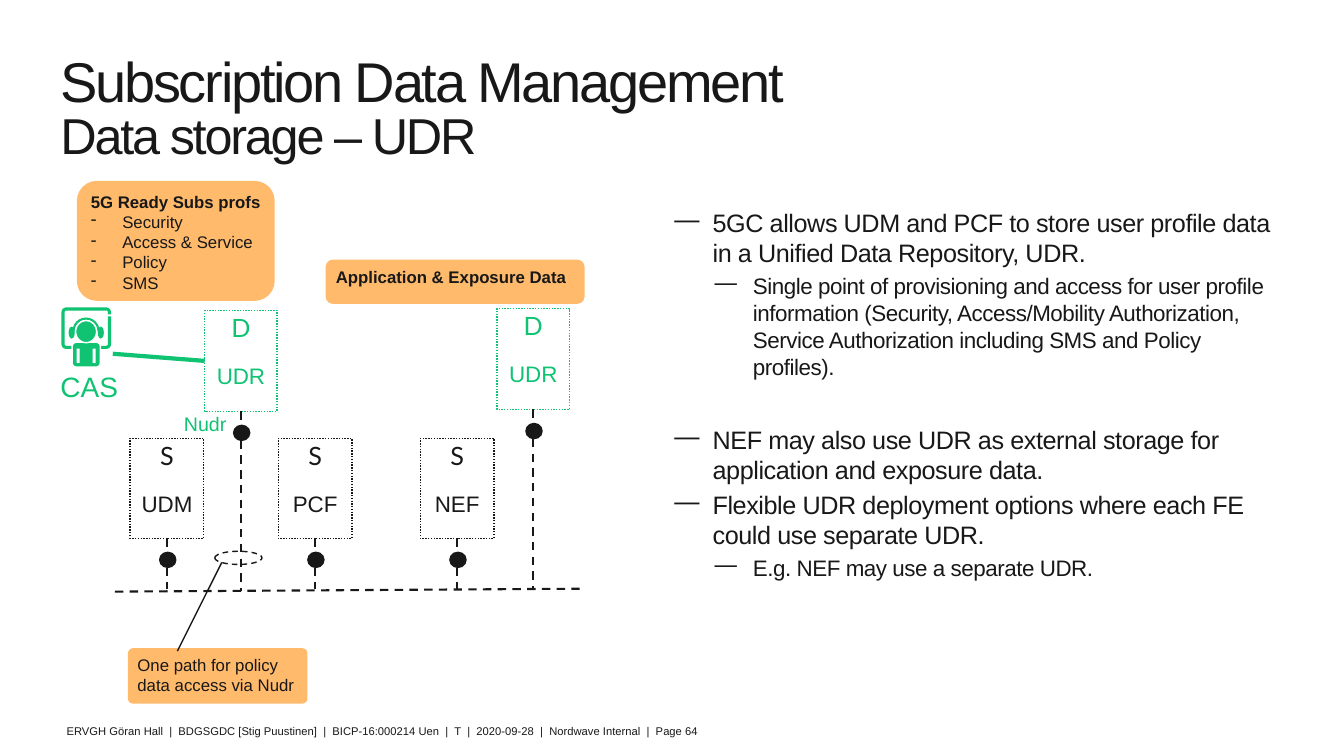
import pptx
import pptx.util
import pptx.dml.color
import pptx.enum.dml
import pptx.enum.shapes
import pptx.enum.text
import lxml.etree

Pt = pptx.util.Pt
Kind = pptx.enum.shapes.MSO_SHAPE
Dash = pptx.enum.dml.MSO_LINE
Align = pptx.enum.text.PP_ALIGN
Anchor = pptx.enum.text.MSO_ANCHOR

theme = {
    "ink": "181818", "green": "0FC373", "amber": "FFBA6C", "white": "FFFFFF",
    "text": "Arial", "letter": "Lato",
    "title": 40, "sub": 36, "cas": 20, "main": 18, "name": 16,
    "link": 14, "note": 12, "foot": 8,
}

deck = pptx.Presentation()
deck.slide_width, deck.slide_height = Pt(960), Pt(540)
slide = deck.slides.add_slide(deck.slide_layouts[6])


def put(kind, box, fill=None, edge=None, width=1, dash=None, rows=(), pad=(5.76, 3.6)):
    place = [Pt(v) for v in box]
    if kind is None:
        shape = slide.shapes.add_textbox(*place)
    else:
        shape = slide.shapes.add_shape(kind, *place)
        shape.shadow.inherit = False
    for paint, color in ((shape.fill, fill), (shape.line.fill, edge)):
        if color:
            paint.solid()
            paint.fore_color.rgb = pptx.dml.color.RGBColor.from_string(theme[color])
        else:
            paint.background()
    if edge:
        shape.line.width = Pt(width)
        if dash:
            shape.line.dash_style = dash
    if not rows:
        return shape
    frame = shape.text_frame
    frame.word_wrap = True
    frame.vertical_anchor = Anchor.TOP
    frame.margin_left = frame.margin_right = Pt(pad[0])
    frame.margin_top = frame.margin_bottom = Pt(pad[1])
    for i, (text, look) in enumerate(rows):
        para = frame.paragraphs[0] if i == 0 else frame.add_paragraph()
        para.text = text
        para.alignment = look.get("align", Align.LEFT)
        para.space_before = Pt(look.get("before", 0))
        para.line_spacing = look.get("lead", 1.0)
        if "mark" in look:
            prop = para._p.get_or_add_pPr()
            prop.set("marL", str(Pt(look["left"])))
            prop.set("indent", str(Pt(-look["hang"])))
            tag = "{http://schemas.openxmlformats.org/drawingml/2006/main}buChar"
            lxml.etree.SubElement(prop, tag).set("char", look["mark"])
        font = para.font
        font.name = theme[look.get("face", "text")]
        font.size = Pt(theme[look["size"]])
        font.bold = look.get("bold", False)
        font.color.rgb = pptx.dml.color.RGBColor.from_string(theme[look.get("color", "ink")])
        if "track" in look:
            for run in para.runs:
                run._r.get_or_add_rPr().set("spc", str(look["track"]))
    return shape


def wire(start, end, color="ink", width=1.5, dash=None):
    line = slide.shapes.add_connector(
        pptx.enum.shapes.MSO_CONNECTOR.STRAIGHT, *[Pt(v) for v in (*start, *end)])
    line.line.color.rgb = pptx.dml.color.RGBColor.from_string(theme[color])
    line.line.width = Pt(width)
    if dash:
        line.line.dash_style = dash
    tag = "{http://schemas.openxmlformats.org/drawingml/2006/main}effectLst"
    lxml.etree.SubElement(line._element.spPr, tag)
    return line


title = put(None, (37.4, 37.4, 675.4, 85), pad=(5.76, 2.9), rows=[
    ("Subscription Data Management\vData storage – UDR",
     {"size": "title", "lead": 0.85, "track": -160})])
title.text_frame.paragraphs[0].runs[1].font.size = Pt(theme["sub"])

main = {"size": "main", "mark": "—", "left": 27.4, "hang": 27.4, "before": 3, "track": -30}
minor = {**main, "size": "name", "left": 56.2}
put(None, (475.9, 145.4, 446.4, 345.6), pad=(5.76, 2.9), rows=[
    ("5GC allows UDM and PCF to store user profile data in a Unified Data Repository, UDR.",
     {**main, "before": 0}),
    ("Single point of provisioning and access for user profile information (Security, "
     "Access/Mobility Authorization, Service Authorization including SMS and Policy profiles).",
     minor),
    ("NEF may also use UDR as external storage for application and exposure data.",
     {**main, "before": 32}),
    ("Flexible UDR deployment options where each FE could use separate UDR.", main),
    ("E.g. NEF may use a separate UDR.", minor)])

note = {"size": "note"}
head = {**note, "bold": True}
item = {**note, "mark": "-", "left": 22.5, "hang": 22.5}
put(Kind.ROUNDED_RECTANGLE, (54.9, 129.2, 141.3, 85.7), "amber", rows=[
    ("5G Ready Subs profs", head),
    *[(text, item) for text in ("Security", "Access & Service", "Policy", "SMS")]])
put(Kind.ROUNDED_RECTANGLE, (232.6, 185.4, 185, 31.7), "amber",
    rows=[("Application & Exposure Data", head)])
path = put(Kind.ROUNDED_RECTANGLE, (91.4, 463, 128.2, 39.6), "amber",
           rows=[("One path for policy data access via Nudr", note)])
path.adjustments[0] = 0.09

wire((82.1, 422.6), (416.9, 420.5), dash=Dash.DASH)
nodes = [
    ("S", "UDM", 93, 313.2, 52.6, 71.3, "ink", 420.8),
    ("S", "PCF", 198.8, 313.2, 52.6, 71.3, "ink", 420.8),
    ("S", "NEF", 300.3, 313.2, 52.6, 71.3, "ink", 420.8),
    ("D", "UDR", 146.2, 221.8, 51.8, 72, "green", 422),
    ("D", "UDR", 355, 220.5, 51.8, 72, "green", 420.8),
]
units = []
for letter, name, x, y, w, h, color, end in nodes:
    look = {"color": color, "align": Align.CENTER}
    unit = put(Kind.RECTANGLE, (x, y, w, h), "white", color, dash=Dash.ROUND_DOT,
               pad=(0, 1.4), rows=[
                   (letter, {**look, "size": "main", "face": "letter"}),
                   (name, {**look, "size": "name", "before": 14})])
    units.append(unit)
    mid, base = x + w / 2, y + h
    wire((mid, base), (mid, end), dash=Dash.DASH).begin_connect(unit, 2)
    put(Kind.OVAL, (mid - 5.2, base + 10, 11.5, 10.8), "ink", "ink")

wire((80.6, 252.7), (146.2, 257.8), "green", 3).end_connect(units[3], 1)
put(Kind.OVAL, (153.4, 393.8, 33.8, 9.4), edge="ink", dash=Dash.DASH)
wire((158.4, 401.8), (126.7, 465.1), width=1)

nudr = put(None, (117.4, 297.4, 58.3, 13.7), pad=(0, 0), rows=[
    ("Nudr", {"size": "link", "color": "green", "align": Align.CENTER, "lead": 0.8})])
nudr.text_frame.vertical_anchor = Anchor.MIDDLE
cas = put(None, (37.4, 260.6, 53.3, 31.7), rows=[("CAS", {"size": "cas", "color": "green"})])
cas.text_frame.word_wrap = False

screen = put(Kind.ROUNDED_RECTANGLE, (45, 220.7, 33.2, 27.4), edge="green", width=2.2)
screen.adjustments[0] = 0.08
put(Kind.RECTANGLE, (76, 224.5, 4, 1.6), "white")
put(Kind.ROUNDED_RECTANGLE, (51.5, 244.5, 20.2, 17.8), "green", "white")
band = put(Kind.BLOCK_ARC, (51.8, 226.8, 19.4, 19.4), "green")
band.adjustments[2] = 0.08
for x in (49, 69.8):
    put(Kind.OVAL, (x, 233.3, 4.4, 8.6), "green")
put(Kind.OVAL, (54, 229, 15, 15.8), "green", "white")
for x in (54.7, 66.2):
    put(Kind.RECTANGLE, (x, 249.1, 2.2, 10.1), "white")

put(None, (41.8, 514.1, 776.9, 17.3), rows=[
    ("ERVGH Göran Hall  |  BDGSGDC [Stig Puustinen]  |  BICP-16:000214 Uen  |  T  |  "
     "2020-09-28  |  Nordwave Internal  |  Page 64", {"size": "foot"})])

deck.save("out.pptx")
